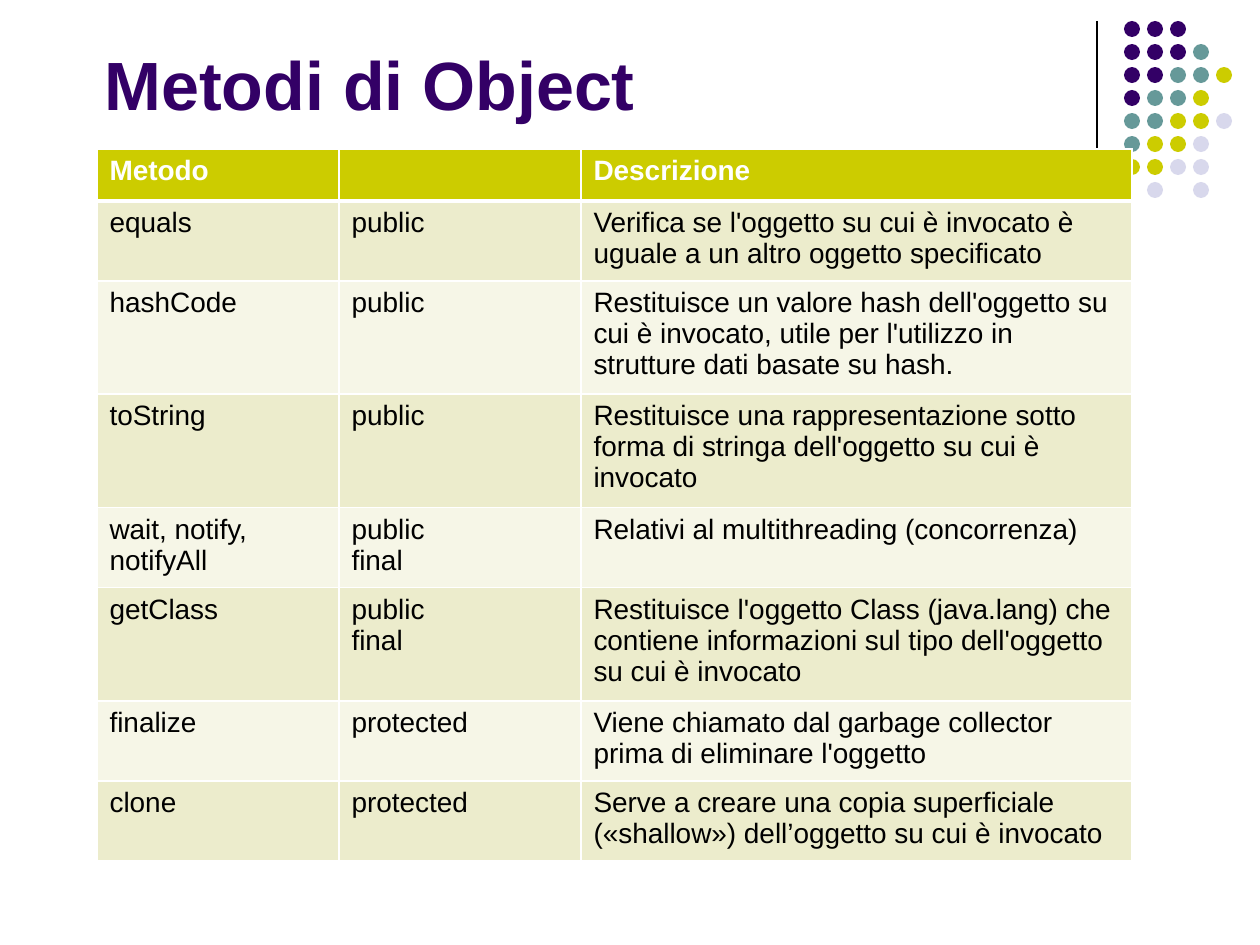
"""Builds a slide with a table of the methods of Object and a dotted corner ornament."""
import copy
from typing import NamedTuple

import pptx
import pptx.dml.color
import pptx.enum.shapes
import pptx.enum.text
import pptx.oxml
import pptx.oxml.ns
import pptx.util

EMU_PER_PX = 914400 / 126
FONT = "Arial"
PURPLE, TEAL, LIME, LILAC = "330066", "669999", "CCCC00", "D8D8EC"
WHITE, BLACK = "FFFFFF", "000000"
BANDS = ("ECECCC", "F6F6E7")

DOT_COLORS = {"P": PURPLE, "T": TEAL, "L": LIME, "V": LILAC}
DOT_ROWS = ("PPP", "PPPT", "PPTTL", "PTTL", "TTLLV", "TLLV", "LLVV", " V V")
DOT_LEFT, DOT_TOP, DOT_PITCH, DOT_SIZE = 1124, 21, 23, 16

COLUMN_WIDTHS = (242, 242, 551)
HEADER_HEIGHT = 52


class Method(NamedTuple):
    name: str
    modifiers: str
    description: str
    height: int


HEADER = Method("Metodo", "", "Descrizione", HEADER_HEIGHT)
METHODS = (
    Method("equals", "public",
           "Verifica se l'oggetto su cui è invocato è uguale a un altro oggetto specificato", 79),
    Method("hashCode", "public",
           "Restituisce un valore hash dell'oggetto su cui è invocato, "
           "utile per l'utilizzo in strutture dati basate su hash.", 113),
    Method("toString", "public",
           "Restituisce una rappresentazione sotto forma di stringa "
           "dell'oggetto su cui è invocato", 113),
    Method("wait, notify, notifyAll", "public\vfinal",
           "Relativi al multithreading (concorrenza)", 80),
    Method("getClass", "public\vfinal",
           "Restituisce l'oggetto Class (java.lang) che contiene informazioni "
           "sul tipo dell'oggetto su cui è invocato", 113),
    Method("finalize", "protected",
           "Viene chiamato dal garbage collector prima di eliminare l'oggetto", 80),
    Method("clone", "protected",
           "Serve a creare una copia superficiale («shallow») "
           "dell’oggetto su cui è invocato", 80),
)


def px(length: int) -> pptx.util.Emu:
    return pptx.util.Emu(round(length * EMU_PER_PX))


def color(value: str) -> pptx.dml.color.RGBColor:
    return pptx.dml.color.RGBColor.from_string(value)


def write_text(frame, text: str, *, size: int, fill: str, bold: bool = False) -> None:
    para = frame.paragraphs[0]
    para.text = text
    for span in para.runs:
        span.font.name = FONT
        span.font.size = pptx.util.Pt(size)
        span.font.bold = bold
        span.font.color.rgb = color(fill)
    for line_break in para._p.findall(pptx.oxml.ns.qn("a:br")):
        line_break.append(copy.deepcopy(para.runs[0]._r.rPr))


def draw_rule(page, x: int, top: int, bottom: int) -> None:
    rule = page.shapes.add_connector(
        pptx.enum.shapes.MSO_CONNECTOR.STRAIGHT, px(x), px(top), px(x), px(bottom))
    rule.line.color.rgb = color(BLACK)
    rule.line.width = pptx.util.Pt(0.75)
    rule._element.spPr.append(pptx.oxml.parse_xml(
        f"<a:effectLst {pptx.oxml.ns.nsdecls('a')}/>"))


def draw_dots(page) -> None:
    group = page.shapes.add_group_shape()
    for row, codes in enumerate(DOT_ROWS):
        for column, code in enumerate(codes):
            if code == " ":
                continue
            dot = group.shapes.add_shape(
                pptx.enum.shapes.MSO_SHAPE.OVAL,
                px(DOT_LEFT + column * DOT_PITCH), px(DOT_TOP + row * DOT_PITCH),
                px(DOT_SIZE), px(DOT_SIZE))
            dot.shadow.inherit = False
            dot.fill.solid()
            dot.fill.fore_color.rgb = color(DOT_COLORS[code])
            dot.line.fill.background()


def draw_title(page, text: str) -> None:
    box = page.shapes.add_textbox(px(92), px(-49), px(1040), px(179))
    box.text_frame.word_wrap = True
    box.text_frame.vertical_anchor = pptx.enum.text.MSO_ANCHOR.BOTTOM
    write_text(box.text_frame, text, size=39, fill=PURPLE, bold=True)


def set_borders(cell, *, top: int = 1, bottom: int = 1) -> None:
    widths = {"lnL": 1, "lnR": 1, "lnT": top, "lnB": bottom}
    for index, (tag, width) in enumerate(widths.items()):
        cell._tc.get_or_add_tcPr().insert(index, pptx.oxml.parse_xml(
            f'<a:{tag} {pptx.oxml.ns.nsdecls("a")} w="{pptx.util.Pt(width)}">'
            f'<a:solidFill><a:srgbClr val="{WHITE}"/></a:solidFill></a:{tag}>'))


def draw_table(page) -> None:
    records = (HEADER, *METHODS)
    table = page.shapes.add_table(
        len(records), len(COLUMN_WIDTHS), px(97), px(149),
        px(sum(COLUMN_WIDTHS)), px(sum(record.height for record in records))).table
    for column, width in zip(table.columns, COLUMN_WIDTHS):
        column.width = px(width)
    for index, record in enumerate(records):
        is_header = index == 0
        table.rows[index].height = px(record.height)
        texts = (record.name, record.modifiers, record.description)
        for cell, text in zip(table.rows[index].cells, texts):
            cell.fill.solid()
            cell.fill.fore_color.rgb = color(LIME if is_header else BANDS[(index - 1) % 2])
            set_borders(cell, top=3 if index == 1 else 1, bottom=3 if is_header else 1)
            write_text(cell.text_frame, text, size=16,
                       fill=WHITE if is_header else BLACK, bold=is_header)


def main() -> None:
    deck = pptx.Presentation()
    deck.slide_width, deck.slide_height = px(1260), px(945)
    page = deck.slides.add_slide(deck.slide_layouts[6])
    draw_rule(page, 1097, 21, 231)
    draw_dots(page)
    draw_title(page, "Metodi di Object")
    draw_table(page)
    deck.save("out.pptx")


if __name__ == "__main__":
    main()
